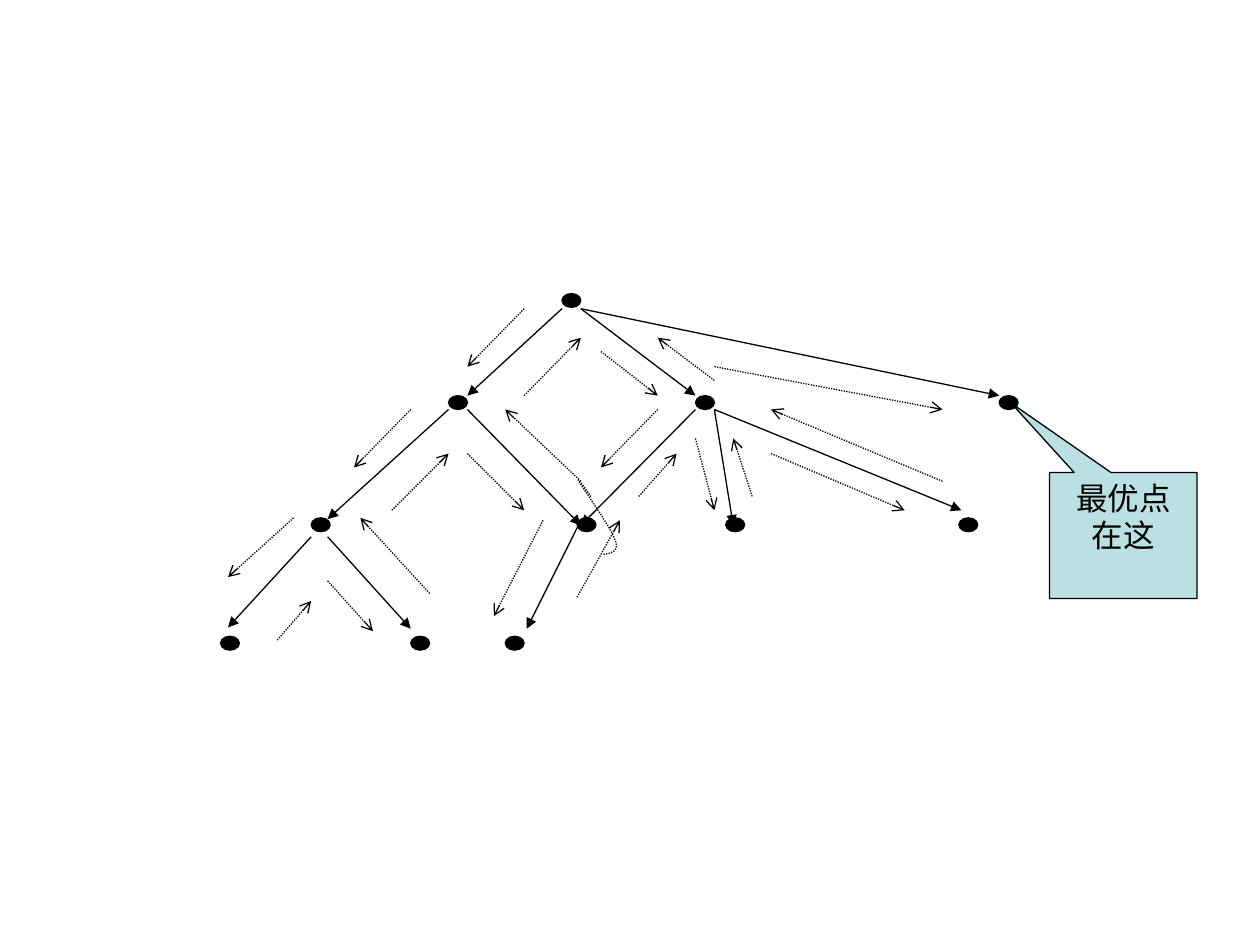
from dataclasses import dataclass

from lxml import etree
from pptx import Presentation
from pptx import util as u
from pptx.dml.color import RGBColor
from pptx.enum import dml, shapes, text
from pptx.oxml.ns import qn


@dataclass(frozen=True)
class Theme:
    ink: RGBColor = RGBColor(0, 0, 0)
    pale: RGBColor = RGBColor(0xBB, 0xE0, 0xE3)
    font: str = "Arial"
    size: float = 18
    rule: float = 0.75
    unit: float = 2.54
    dot: tuple = (0.15, 0.11)


def apply(obj, form):
    for key, val in form.items():
        setattr(obj, key, val)


class Board:
    def __init__(self, deck, theme):
        self.theme = theme
        self.slide = deck.slides.add_slide(deck.slide_layouts[6])
        self.shapes = self.slide.shapes

    def cm(self, *vals):
        return [u.Cm(val * self.theme.unit) for val in vals]

    def stroke(self, line, dash=None):
        line.color.rgb = self.theme.ink
        apply(line, {"width": u.Pt(self.theme.rule), "dash_style": dash})

    def solid(self, kind, box, fill):
        shape = self.shapes.add_shape(kind, *self.cm(*box))
        shape.shadow.inherit = False
        shape.fill.solid()
        shape.fill.fore_color.rgb = fill
        self.stroke(shape.line)
        return shape

    def node(self, left, top):
        kind = shapes.MSO_SHAPE.OVAL
        self.solid(kind, (left, top, *self.theme.dot), self.theme.ink)

    def arrow(self, ends, head, dash=None):
        kind = shapes.MSO_CONNECTOR.STRAIGHT
        link = self.shapes.add_connector(kind, *self.cm(*ends))
        self.stroke(link.line, dash)
        props = link._element.spPr
        etree.SubElement(props.get_or_add_ln(), qn("a:tailEnd"), type=head)
        etree.SubElement(props, qn("a:effectLst"))

    def curve(self, start, parts, steps=12):
        points, here = [], start
        for one, two, end in parts:
            for step in range(1, steps + 1):
                t = step / steps
                s = 1 - t
                points.append(self.cm(*(
                    s**3 * a + 3 * s * s * t * b + 3 * s * t * t * c + t**3 * d
                    for a, b, c, d in zip(here, one, two, end))))
            here = end
        pen = self.shapes.build_freeform(*self.cm(*start))
        pen.add_line_segments(points, close=False)
        shape = pen.convert_to_shape()
        shape.shadow.inherit = False
        shape.fill.background()
        self.stroke(shape.line, DOTS)

    def callout(self, box, tip, words):
        kind = shapes.MSO_SHAPE.RECTANGULAR_CALLOUT
        shape = self.solid(kind, box, self.theme.pale)
        for num, val in enumerate(tip):
            shape.adjustments[num] = val
        frame = shape.text_frame
        side, edge = self.cm(0.1, 0.05)
        apply(frame, {
            "word_wrap": True, "vertical_anchor": text.MSO_ANCHOR.TOP,
            "margin_left": side, "margin_right": side,
            "margin_top": edge, "margin_bottom": edge})
        para = frame.paragraphs[0]
        para.alignment = text.PP_ALIGN.CENTER
        run = para.add_run()
        run.text = words
        apply(run.font, {"name": self.theme.font, "size": u.Pt(self.theme.size)})
        run.font.color.rgb = self.theme.ink


DOTS = dml.MSO_LINE.ROUND_DOT

LEVELS = {
    2.33: [4.46],
    3.14: [3.56, 5.52, 7.93],
    4.11: [2.47, 4.58, 5.76, 7.61],
    5.05: [1.75, 3.26, 4.01],
}

EDGES = [
    (4.46, 2.45, 3.71, 3.14), (4.61, 2.45, 5.52, 3.14),
    (4.61, 2.45, 7.93, 3.14), (3.56, 3.25, 2.6, 4.12),
    (3.71, 3.25, 4.61, 4.17), (5.52, 3.25, 4.61, 4.17),
    (5.67, 3.25, 5.82, 4.17), (5.67, 3.25, 7.63, 4.05),
    (2.47, 4.26, 1.81, 4.98), (2.6, 4.26, 3.26, 4.99),
    (4.61, 4.13, 4.18, 4.99),
]

WALK = [
    (4.16, 2.45, 3.71, 2.91), (3.26, 3.25, 2.81, 3.71),
    (2.33, 4.11, 1.81, 4.58), (2.2, 5.08, 2.47, 4.77),
    (2.6, 4.61, 2.96, 5.01), (3.41, 4.71, 2.86, 4.11),
    (3.11, 4.05, 3.56, 3.6), (3.71, 3.6, 4.16, 4.05),
    (4.31, 4.13, 3.92, 4.89), (4.58, 4.74, 4.92, 4.13),
    (4.61, 3.82, 4.01, 3.25), (4.16, 3.14, 4.61, 2.68),
    (4.77, 2.79, 5.22, 3.14), (5.22, 3.25, 4.77, 3.71),
    (5.07, 3.94, 5.37, 3.6), (5.52, 3.48, 5.67, 4.05),
    (5.97, 3.94, 5.82, 3.48), (6.12, 3.6, 7.18, 4.05),
    (7.48, 3.82, 6.12, 3.25), (5.67, 3.02, 5.22, 2.68),
    (5.67, 2.91, 7.48, 3.25),
]

LOOP = [
    ((4.85, 4.39), (4.92, 4.38), (4.88, 4.28)),
    ((4.85, 4.19), (4.63, 3.88), (4.6, 3.83)),
    ((4.56, 3.77), (4.63, 3.85), (4.69, 3.94)),
]


def main():
    deck = Presentation()
    apply(deck, {"slide_width": u.Cm(25.4), "slide_height": u.Cm(19.05)})
    board = Board(deck, Theme())
    for ends in EDGES:
        board.arrow(ends, "triangle")
    for top, row in LEVELS.items():
        for left in row:
            board.node(left, top)
    for ends in WALK:
        board.arrow(ends, "arrow", DOTS)
    board.curve((4.79, 4.4), LOOP)
    board.callout((8.33, 3.75, 1.17, 1), (-0.76, -1.05), "最优点在这")
    deck.save("out.pptx")


if __name__ == "__main__":
    main()
